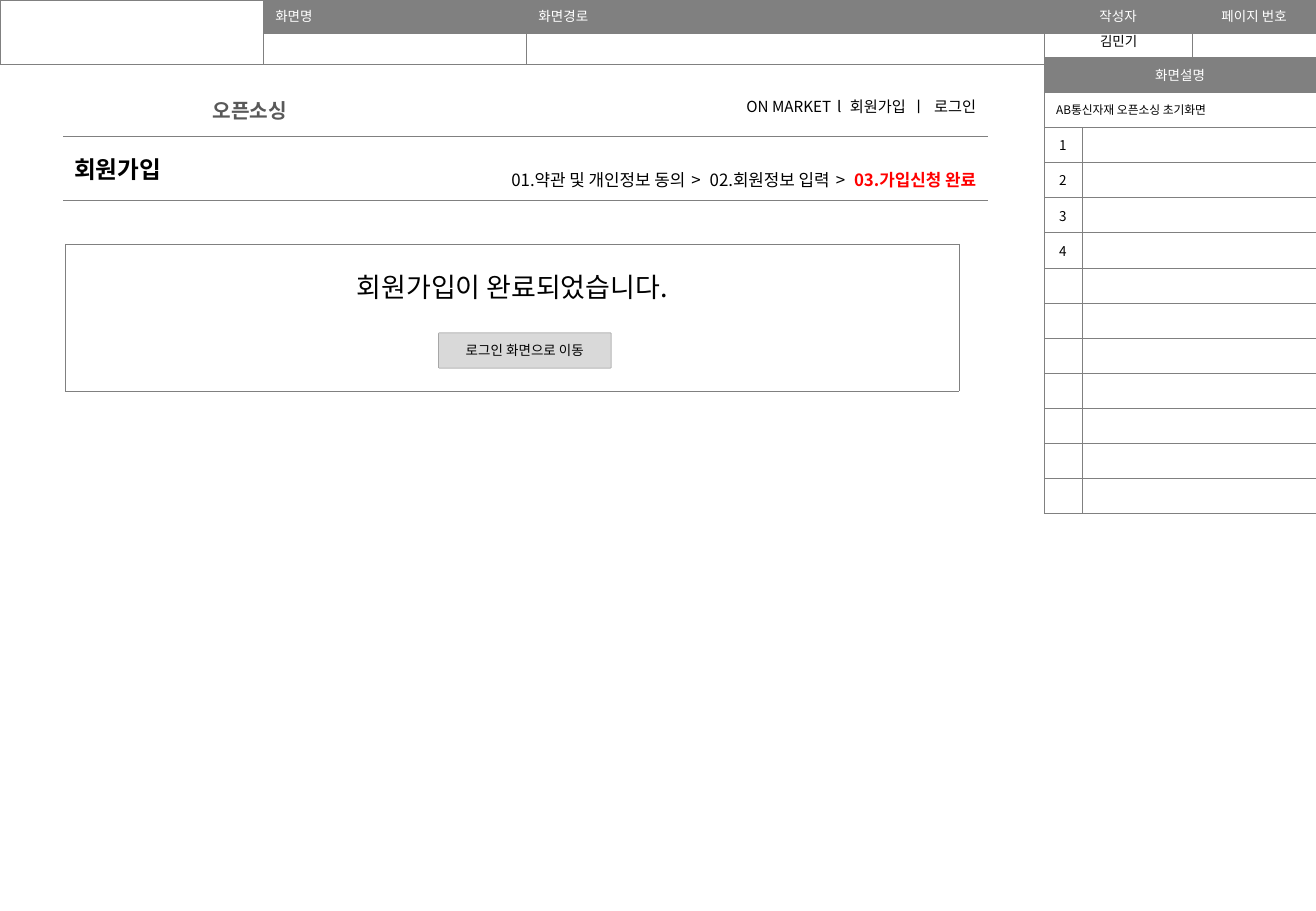
"""Build the sign-up completion screen of a storyboard."""
from lxml import etree
from pptx import Presentation
from pptx import util as u
from pptx.dml.color import RGBColor
from pptx.enum import shapes, text
from pptx.oxml.ns import qn

FONT = "Noto Sans CJK KR"
BLACK = RGBColor(0, 0, 0)
WHITE = RGBColor(255, 255, 255)
GRAY = RGBColor(128, 128, 128)
DARK_GRAY = RGBColor(89, 89, 89)
LIGHT_GRAY = RGBColor(217, 217, 217)
RED = RGBColor(255, 0, 0)
LEFT, CENTER, RIGHT = text.PP_ALIGN.LEFT, text.PP_ALIGN.CENTER, text.PP_ALIGN.RIGHT
TOP, MIDDLE = text.MSO_ANCHOR.TOP, text.MSO_ANCHOR.MIDDLE
WIDTH, HEIGHT = 10.83, 7.5


def write(frame, content, size=8, color=BLACK, bold=False, align=LEFT, spacing=0):
    """Append one formatted run to the first paragraph of a text frame."""
    paragraph = frame.paragraphs[0]
    paragraph.alignment = align
    if not content:
        paragraph._p.get_or_add_endParaRPr().set("sz", str(size * 100))
        return
    run = paragraph.add_run()
    run.text = content
    run.font.name, run.font.size, run.font.bold = FONT, u.Pt(size), bold
    run.font.color.rgb = color
    properties = run.font._element
    etree.SubElement(properties, qn("a:ea"), typeface=FONT)
    if spacing:
        properties.set("spc", str(int(spacing * 100)))


def add_grid(left, top, columns, rows, fill=None, side=(GRAY, 0.25), anchor=MIDDLE):
    """Add a plain bordered table and return it."""
    table = slide.shapes.add_table(len(rows), len(columns), u.Inches(left), u.Inches(top),
                                   u.Inches(sum(columns)), u.Inches(sum(rows))).table
    table.first_row = table.horz_banding = False
    for column, width in zip(table.columns, columns):
        column.width = u.Inches(width)
    for row, height in zip(table.rows, rows):
        row.height = u.Inches(height)
    for cell in table.iter_cells():
        cell.vertical_anchor = anchor
        for edge in "LRTB":
            color, points = side if edge in "LR" else (GRAY, 0.25)
            line = etree.SubElement(cell._tc.get_or_add_tcPr(), qn("a:ln" + edge),
                                    w=str(u.Pt(points)))
            solid = etree.SubElement(line, qn("a:solidFill"))
            etree.SubElement(solid, qn("a:srgbClr"), val=str(color))
        if fill is None:
            cell.fill.background()
        else:
            cell.fill.solid()
            cell.fill.fore_color.rgb = fill
    return table


presentation = Presentation()
presentation.slide_width, presentation.slide_height = u.Inches(WIDTH), u.Inches(HEIGHT)
slide = presentation.slides.add_slide(presentation.slide_layouts[6])

header_columns = [WIDTH / 5, WIDTH / 5, 4.26, 1.22, 1.02]
panel_left = sum(header_columns[:3])
header = add_grid(0, 0, header_columns, [0.27, 0.26], anchor=TOP)
header.cell(0, 0).merge(header.cell(1, 0))
header_labels = ["", "화면명", "화면경로", "작성자", "페이지 번호"]
for index, label in enumerate(header_labels):
    cell = header.cell(0, index)
    write(cell.text_frame, label, color=WHITE, align=CENTER if index > 2 else LEFT)
    write(header.cell(1, index).text_frame, "")
    if label:
        cell.fill.solid()
        cell.fill.fore_color.rgb = GRAY

title = add_grid(0.51, 1.12, [7.63], [0.53], side=(WHITE, 1))
write(title.cell(0, 0).text_frame, "회원가입", size=14, bold=True)

gap = {"spacing": 1.5}
text_boxes = [
    ((panel_left, 0.22, 1.23, 0.24), TOP, {"align": CENTER}, [("김민기", {})]),
    ((1.65, 0.76, 0.88, 0.3), TOP, {"size": 12, "color": DARK_GRAY, "bold": True},
     [("오픈소싱", {})]),
    ((3.46, 1.33, 4.67, 0.3), MIDDLE, {"size": 10, "align": RIGHT},
     [("01.약관 및 개인정보 동의", {}), (" > ", gap), ("02.회원정보 입력", {}), (" > ", gap),
      ("03.가입신청 완료", {"color": RED, "bold": True})]),
    ((3.46, 0.73, 4.67, 0.3), MIDDLE, {"size": 9, "align": RIGHT},
     [("ON MARKET", {}), (" l ", gap), ("회원가입", {}), (" ㅣ ", gap), ("로그인", {})]),
]
for place, anchor, style, parts in text_boxes:
    frame = slide.shapes.add_textbox(*map(u.Inches, place)).text_frame
    frame.word_wrap = len(parts) > 1 or "align" in style
    frame.vertical_anchor = anchor
    for content, changes in parts:
        write(frame, content, **{**style, **changes})

message = add_grid(0.54, 2.01, [7.35], [1.21], fill=WHITE).cell(0, 0)
message.margin_left = message.margin_right = message.margin_top = u.Inches(0.04)
message.margin_bottom = u.Inches(0.56)
write(message.text_frame, "회원가입이 완료되었습니다.", size=16, align=CENTER)

button = slide.shapes.add_shape(shapes.MSO_SHAPE.ROUNDED_RECTANGLE,
                                *map(u.Inches, (3.61, 2.74, 1.42, 0.29)))
button.shadow.inherit = False
button.adjustments[0] = 0.02
button.fill.solid()
button.fill.fore_color.rgb = LIGHT_GRAY
button.line.color.rgb = GRAY
button.line.width = u.Pt(0.25)
button.text_frame.vertical_anchor = MIDDLE
button.text_frame.word_wrap = True
write(button.text_frame, "로그인 화면으로 이동", align=CENTER)

row_count = 13
panel = add_grid(panel_left, 0.47, [0.31, 1.93], [3.76 / row_count] * row_count, fill=WHITE)
for row in range(2):
    panel.cell(row, 0).merge(panel.cell(row, 1))
panel.cell(0, 0).fill.fore_color.rgb = GRAY
write(panel.cell(0, 0).text_frame, "화면설명", color=WHITE, align=CENTER)
write(panel.cell(1, 0).text_frame, "AB통신자재 오픈소싱 초기화면", size=7)
for row in range(2, row_count):
    number = row - 1
    write(panel.cell(row, 0).text_frame, str(number) if number <= 4 else "", align=CENTER)
    write(panel.cell(row, 1).text_frame, "")

presentation.save("out.pptx")
